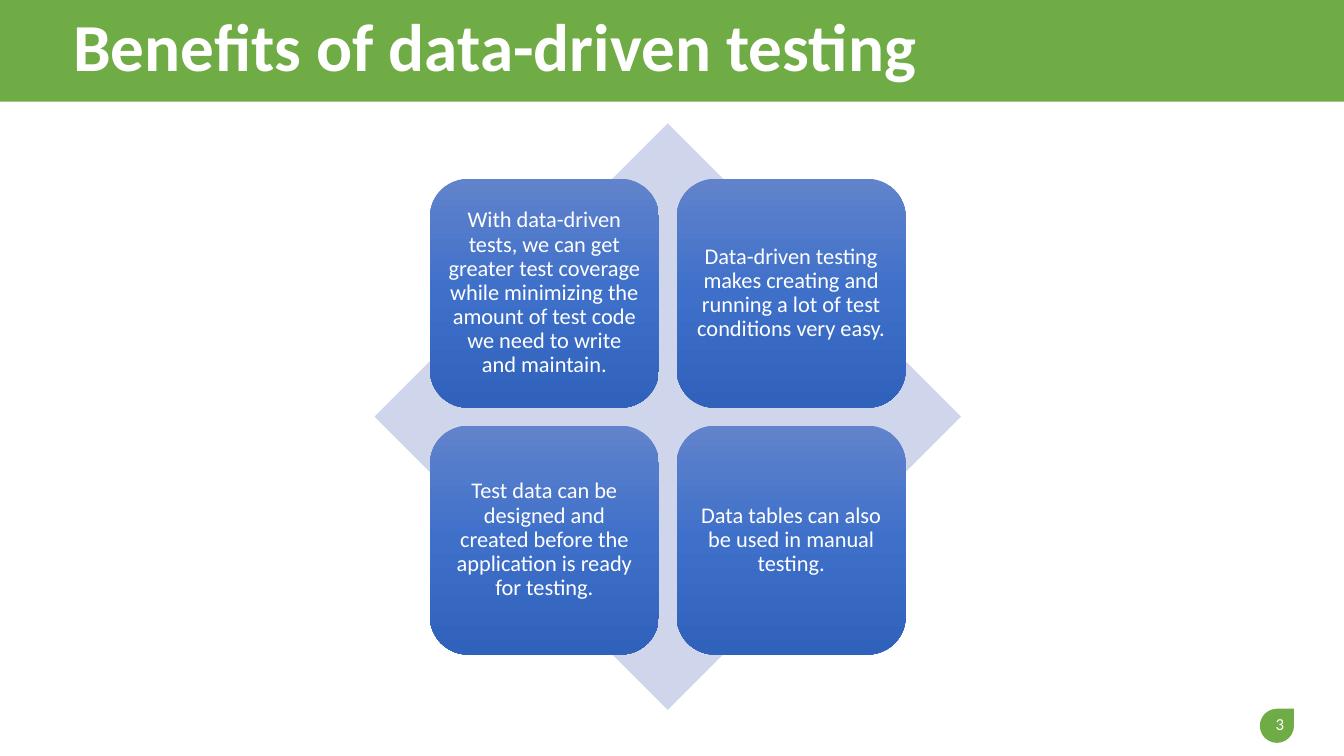
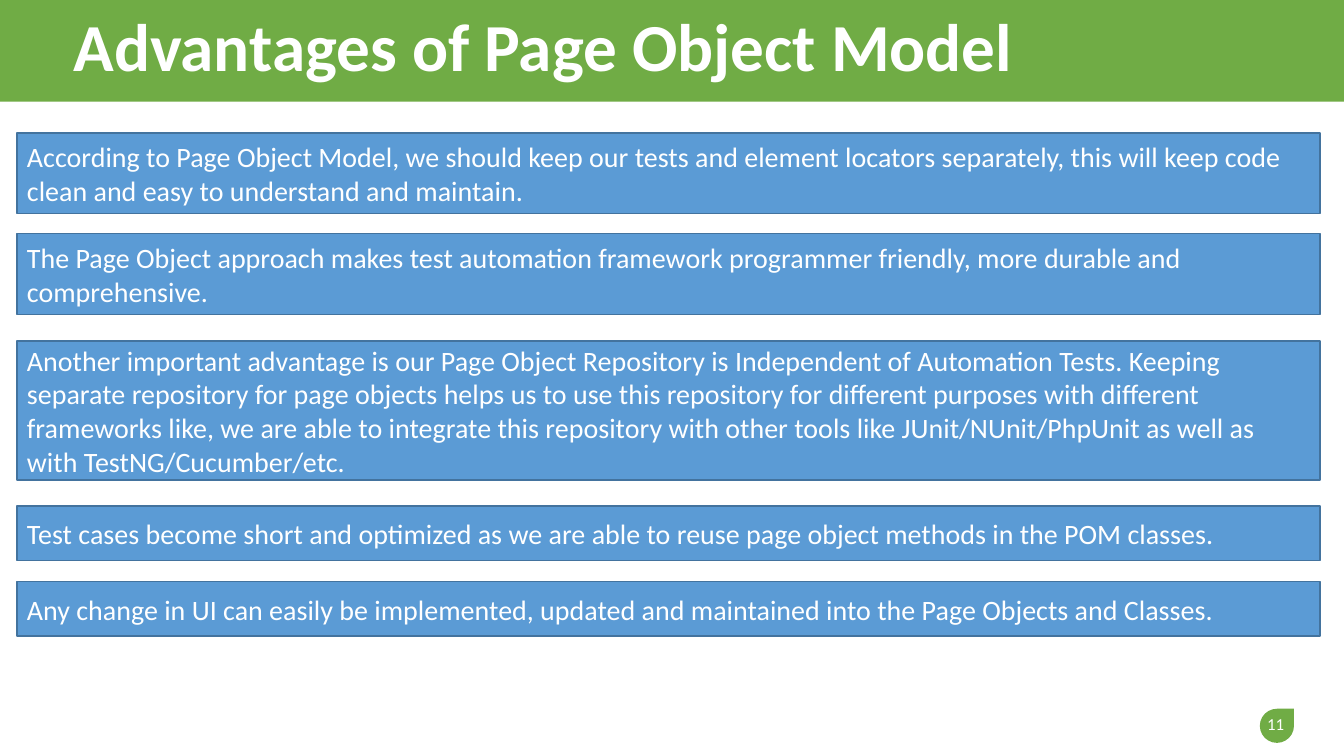
"""Build two slides on data-driven testing and the Page Object Model."""
from copy import deepcopy
from dataclasses import dataclass
from itertools import product
from typing import Any, Optional

from pptx import Presentation
from pptx import util as u
from pptx.dml import color
from pptx.enum import shapes, text
from pptx.oxml import ns

COLORS = {
    "band": "70AC45",
    "white": "FFFFFF",
    "diamond": "CFD5EA",
    "bar": "5B9BD5",
    "bar_edge": "43739E",
}
TILE_GRADIENT = {0: "6183CB", 0.5: "3E70CA", 1: "3062BB"}
SLIDE_W, SLIDE_H = 33.87, 19.05
KIND = shapes.MSO_SHAPE
ALIGN = text.PP_ALIGN


@dataclass(frozen=True)
class Box:
    left: float
    top: float
    width: float
    height: float

    def place(self) -> list[u.Length]:
        return [u.Cm(side) for side in (self.left, self.top, self.width, self.height)]


@dataclass(frozen=True)
class TextStyle:
    size: float
    align: ALIGN = ALIGN.LEFT
    bold: bool = False
    line_spacing: float = 1.0
    inset: Optional[float] = None


@dataclass(frozen=True)
class Bar:
    top: float
    height: float
    words: str


TITLE = TextStyle(48, bold=True, line_spacing=0.9)
PAGE_NUMBER = TextStyle(12, ALIGN.RIGHT)
TILE = TextStyle(16, ALIGN.CENTER, line_spacing=0.9, inset=0.18)
BAR = TextStyle(20)

BENEFITS = [
    "With data-driven tests, we can get greater test coverage while minimizing "
    "the amount of test code we need to write and maintain.",
    "Data-driven testing makes creating and running a lot of test conditions very easy.",
    "Test data can be designed and created before the application is ready for testing.",
    "Data tables can also be used in manual testing.",
]
ADVANTAGES = [
    Bar(3.35, 2.03, "According to Page Object Model, we should keep our tests and element "
        "locators separately, this will keep code clean and easy to understand and maintain."),
    Bar(5.89, 2.03, "The Page Object approach makes test automation framework programmer "
        "friendly, more durable and comprehensive."),
    Bar(8.59, 3.51, "Another important advantage is our Page Object Repository is Independent "
        "of Automation Tests. Keeping separate repository for page objects helps us to use "
        "this repository for different purposes with different frameworks like, we are able "
        "to integrate this repository with other tools like JUnit/NUnit/PhpUnit as well as "
        "with TestNG/Cucumber/etc."),
    Bar(12.75, 1.37, "Test cases become short and optimized as we are able to reuse page "
        "object methods in the POM classes."),
    Bar(14.66, 1.37, "Any change in UI can easily be implemented, updated and maintained "
        "into the Page Objects and Classes."),
]


def rgb(name: str) -> color.RGBColor:
    return color.RGBColor.from_string(COLORS[name])


def apply(target: Any, values: dict[str, Any]) -> None:
    for attribute, value in values.items():
        setattr(target, attribute, value)


def write(holder: Any, words: str, style: TextStyle) -> None:
    frame = holder.text_frame
    apply(frame, {"word_wrap": True, "vertical_anchor": text.MSO_ANCHOR.MIDDLE})
    if style.inset is not None:
        sides = ("left", "top", "right", "bottom")
        apply(frame, {f"margin_{side}": u.Cm(style.inset) for side in sides})
    paragraph = frame.paragraphs[0]
    apply(paragraph, {"alignment": style.align, "line_spacing": style.line_spacing})
    run = paragraph.add_run()
    run.text = words
    apply(run.font, {"name": "Calibri", "size": u.Pt(style.size), "bold": style.bold})
    run.font.color.rgb = rgb("white")


def add_label(slide: Any, box: Box, words: str, style: TextStyle) -> None:
    write(slide.shapes.add_textbox(*box.place()), words, style)


def add_block(slide: Any, kind: KIND, box: Box, fill: Optional[str] = None,
              edge: Optional[str] = None) -> Any:
    block = slide.shapes.add_shape(kind, *box.place())
    block.shadow.inherit = False
    if fill:
        block.fill.solid()
        block.fill.fore_color.rgb = rgb(fill)
    if edge:
        block.line.color.rgb = rgb(edge)
        block.line.width = u.Pt(1)
    else:
        block.line.fill.background()
    return block


def shade(tile: Any) -> None:
    tile.fill.gradient()
    tile.fill.gradient_angle = 270
    stop_list = tile._element.spPr.find(ns.qn("a:gradFill")).find(ns.qn("a:gsLst"))
    stop_list.append(deepcopy(stop_list[0]))
    for stop, (position, tone) in zip(tile.fill.gradient_stops, TILE_GRADIENT.items()):
        stop.position = position
        stop.color.rgb = color.RGBColor.from_string(tone)


def add_page(deck: Any, title: str, number: int) -> Any:
    slide = deck.slides.add_slide(deck.slide_layouts[6])
    add_block(slide, KIND.TEAR, Box(31.75, 17.86, 0.86, 0.86), "band")
    add_block(slide, KIND.RECTANGLE, Box(0, 0, SLIDE_W, 2.56), "band")
    add_label(slide, Box(1.6, 0.2, 30.78, 2.13), title, TITLE)
    add_label(slide, Box(31.52, 17.91, 1.09, 0.64), str(number), PAGE_NUMBER)
    return slide


def draw_benefits(slide: Any) -> None:
    diamond = Box(9.44, 3.11, 14.78, 14.78)
    side, gap = 5.77, 0.45
    margin = (diamond.width - 2 * side - gap) / 2
    add_block(slide, KIND.DIAMOND, diamond, "diamond")
    for (row, column), words in zip(product(range(2), repeat=2), BENEFITS):
        left = diamond.left + margin + column * (side + gap)
        top = diamond.top + margin + row * (side + gap)
        tile = add_block(slide, KIND.ROUNDED_RECTANGLE, Box(left, top, side, side))
        shade(tile)
        write(tile, words, TILE)


def draw_advantages(slide: Any) -> None:
    for advantage in ADVANTAGES:
        box = Box(0.43, advantage.top, 32.84, advantage.height)
        bar = add_block(slide, KIND.RECTANGLE, box, "bar", "bar_edge")
        write(bar, advantage.words, BAR)


def main() -> None:
    deck = Presentation()
    apply(deck, {"slide_width": u.Cm(SLIDE_W), "slide_height": u.Cm(SLIDE_H)})
    draw_benefits(add_page(deck, "Benefits of data-driven testing", 3))
    draw_advantages(add_page(deck, "Advantages of Page Object\u00a0Model", 11))
    deck.save("out.pptx")


main()
